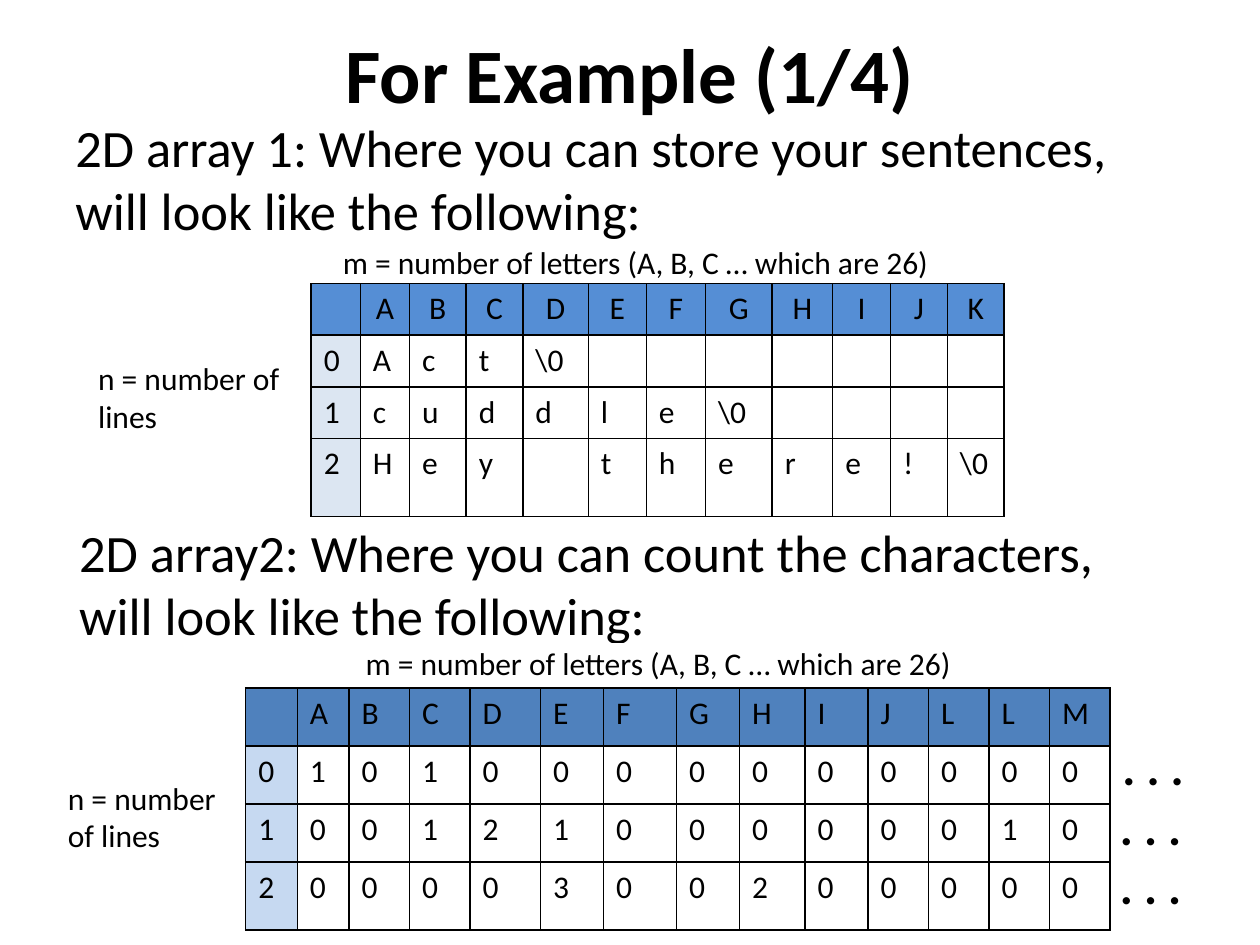
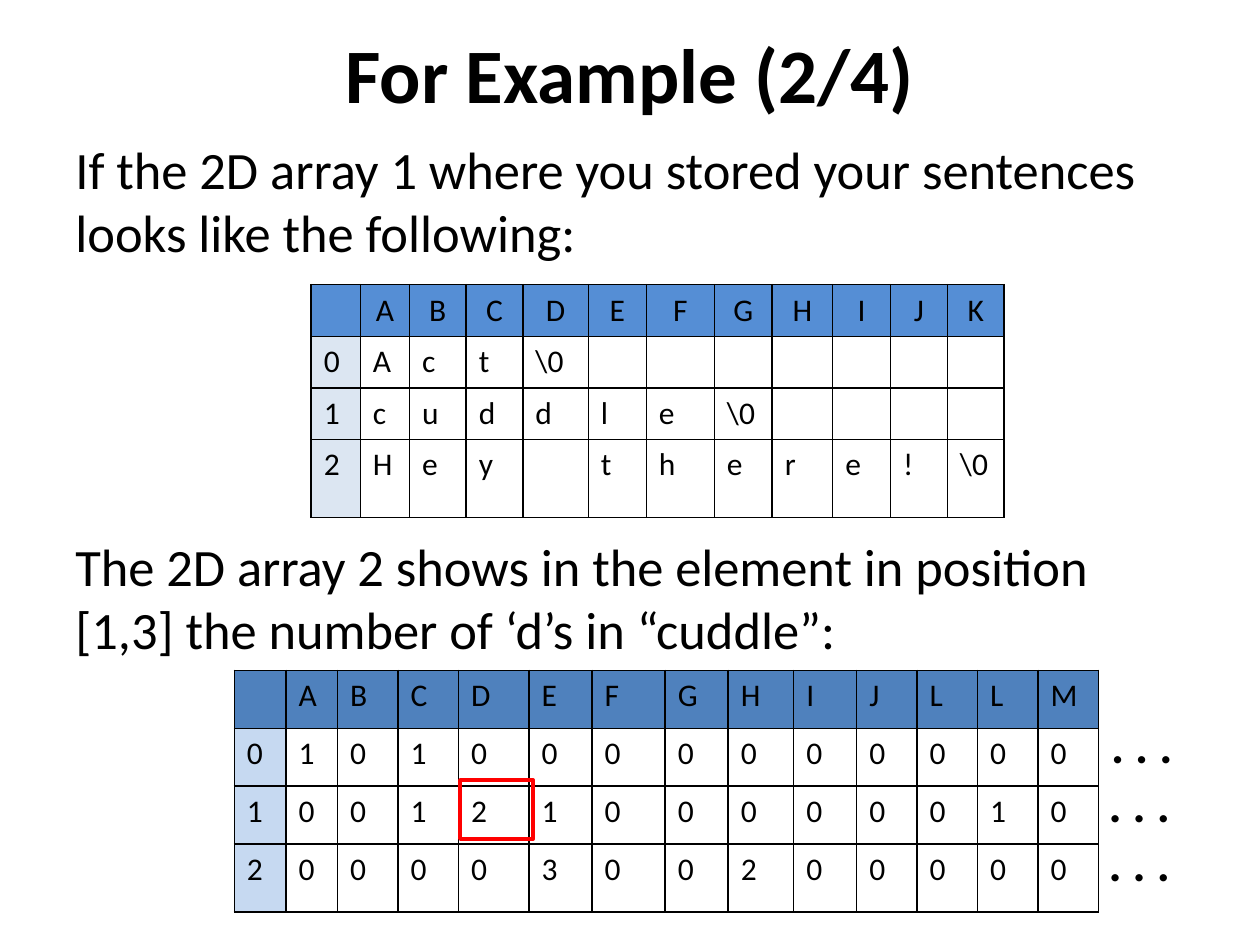
from itertools import product

from lxml import etree
from pptx import Presentation
from pptx import util as u
from pptx.dml.color import RGBColor
from pptx.enum import shapes, text
from pptx.oxml import ns

BLACK = RGBColor(0x00, 0x00, 0x00)
WHITE = RGBColor(0xFF, 0xFF, 0xFF)
RED = RGBColor(0xFF, 0x00, 0x00)
LETTERS_HEAD = RGBColor(0x55, 0x8E, 0xD5)
LETTERS_SIDE = RGBColor(0xDC, 0xE6, 0xF2)
COUNTS_HEAD = RGBColor(0x4F, 0x81, 0xBD)
COUNTS_SIDE = RGBColor(0xC6, 0xD9, 0xF1)
FONT = "Calibri"
CENTER = text.PP_ALIGN.CENTER

END = "\\0"
LETTERS = [
    ["", *"ABCDEFGHIJK"],
    ["0", *"Act", END],
    ["1", *"cuddle", END],
    ["2", *"Hey", "", *"there!", END],
]
LETTERS_ROWS = [0.41, 0.41, 0.41, 0.62]
COUNTS = [
    ["", *"ABCDEFGHIJLLM"],
    ["0", *"1010000000000"],
    ["1", *"0012100000010"],
    ["2", *"0000300200000"],
]
COUNTS_ROWS = [0.46, 0.46, 0.46, 0.54]
COUNTS_COLS = [0.41, 0.41, 0.48, 0.48, 0.56, 0.5, 0.58, 0.5, 0.52, 0.5] + [0.48] * 4

LETTER_COUNT = "m = number of letters (A, B, C … which are 26)"
LINE_COUNT = "n = number of lines"

# Positions are (left, top, width, height) in inches; a table needs only (left, top).
SLIDES = [
    {
        "title": "For Example (1/4)",
        "statements": [
            ("2D array 1: Where you can store your sentences, will look like the following:",
             (0.5, 0.86, 9, 1.11)),
            ("2D array2: Where you can count the characters, will look like the following:",
             (0.53, 4.08, 8.85, 1.19)),
        ],
        "letters_at": (2.47, 2.25),
        "letters_cols": [0.39, 0.39, 0.45, 0.45, 0.52, 0.46, 0.47, 0.53, 0.48, 0.46, 0.45, 0.45],
        "counts_at": (1.95, 5.46),
        "dots_drop": 0.34,
        "captions": [(2.47, 1.93), (2.65, 5.11)],
        "line_labels": [(0.68, 2.8, 1.75, 0.71), (0.44, 6.13, 1.48, 0.71)],
    },
    {
        "title": "For Example (2/4)",
        "statements": [
            ("If the 2D array 1 where you stored your sentences looks like the following:",
             (0.5, 1.04, 9, 1.34)),
            ("The 2D array 2 shows in the element in position [1,3] "
             "the number of ‘d’s in “cuddle”:",
             (0.5, 4.19, 9, 1.17)),
        ],
        "letters_at": (2.47, 2.26),
        "letters_cols": [0.39, 0.39, 0.45, 0.45, 0.52, 0.46, 0.54, 0.46, 0.48, 0.46, 0.45, 0.45],
        "counts_at": (1.86, 5.32),
        "dots_drop": 0.3,
        "marked": (1, 3),
    },
]


def inches(values):
    return [u.Inches(v) for v in values]


def write(tf, content, size=18, bold=False, align=None):
    p = tf.paragraphs[0]
    p.alignment = align
    r = p.add_run()
    r.text = content
    r.font.name, r.font.size, r.font.bold = FONT, u.Pt(size), bold
    r.font.color.rgb = BLACK


def add_text(s, content, box, wrap=True, **fmt):
    tf = s.shapes.add_textbox(*inches(box)).text_frame
    tf.word_wrap = wrap
    write(tf, content, **fmt)


def add_title(s, content):
    sp = s.shapes.title
    sp.left, sp.top, sp.width, sp.height = inches((0, 0.07, 10, 1.02))
    sp.text_frame.vertical_anchor = text.MSO_ANCHOR.MIDDLE
    write(sp.text_frame, content, size=44, bold=True, align=CENTER)


def set_borders(cell, color):
    tc_pr = cell._tc.get_or_add_tcPr()
    for side in ("lnL", "lnR", "lnT", "lnB"):
        ln = etree.SubElement(tc_pr, ns.qn(f"a:{side}"), w=str(u.Pt(1)))
        fill = etree.SubElement(ln, ns.qn("a:solidFill"))
        etree.SubElement(fill, ns.qn("a:srgbClr"), val=str(color))


def add_grid(s, at, cols, rows, border=BLACK):
    """Add a plain table with borders only."""
    box = inches((*at, sum(cols), sum(rows)))
    table = s.shapes.add_table(len(rows), len(cols), *box).table
    table.first_row = table.horz_banding = False
    for parts, sizes, side in ((table.columns, cols, "width"), (table.rows, rows, "height")):
        for part, size in zip(parts, sizes):
            setattr(part, side, u.Inches(size))
    for cell in table.iter_cells():
        set_borders(cell, border)
        cell.fill.background()
    return table


def add_array(s, at, cols, rows, data, head, side, head_align=None):
    """Add a grid with a coloured index row and index column."""
    table = add_grid(s, at, cols, rows)
    for row, col in product(range(len(rows)), range(len(cols))):
        cell = table.cell(row, col)
        if row == 0 or col == 0:
            cell.fill.solid()
            cell.fill.fore_color.rgb = side if row else head
        if col < len(data[row]) and data[row][col]:
            write(cell.text_frame, data[row][col], align=None if row else head_align)


def add_caption(s, at):
    cell = add_grid(s, at, [5.15], [0.31], border=WHITE).cell(0, 0)
    cell.margin_left = cell.margin_right = cell.margin_top = u.Inches(0.01)
    cell.margin_bottom = 0
    cell.vertical_anchor = text.MSO_ANCHOR.MIDDLE
    write(cell.text_frame, LETTER_COUNT, align=CENTER)


def add_dots(s, counts_at, drop):
    """Show that each row of counts goes on beyond the table."""
    right = counts_at[0] + sum(COUNTS_COLS)
    for i in range(3):
        left = right - (0.02 if i else 0)
        top = counts_at[1] + drop + 0.47 * i
        add_text(s, ". . .", (left, top, 0.69, 0.57), wrap=False, size=28, bold=True)


def mark_count(s, counts_at, row, col):
    """Frame one count, given by its array indices."""
    left = counts_at[0] + sum(COUNTS_COLS[:col + 1]) + 0.01
    top = counts_at[1] + sum(COUNTS_ROWS[:row + 1]) - 0.05
    size = COUNTS_COLS[col + 1] + 0.02, COUNTS_ROWS[row + 1] + 0.01
    sp = s.shapes.add_shape(shapes.MSO_SHAPE.RECTANGLE, *inches((left, top, *size)))
    sp.shadow.inherit = False
    sp.fill.background()
    sp.line.color.rgb, sp.line.width = RED, u.Pt(2)


def build_slide(prs, d):
    s = prs.slides.add_slide(prs.slide_layouts[5])
    add_title(s, d["title"])
    for content, box in d["statements"]:
        add_text(s, content, box, size=30)
    add_array(s, d["letters_at"], d["letters_cols"], LETTERS_ROWS, LETTERS,
              LETTERS_HEAD, LETTERS_SIDE, head_align=CENTER)
    add_array(s, d["counts_at"], COUNTS_COLS, COUNTS_ROWS, COUNTS, COUNTS_HEAD, COUNTS_SIDE)
    add_dots(s, d["counts_at"], d["dots_drop"])
    for at in d.get("captions", []):
        add_caption(s, at)
    for box in d.get("line_labels", []):
        add_text(s, LINE_COUNT, box)
    if "marked" in d:
        mark_count(s, d["counts_at"], *d["marked"])


def main():
    prs = Presentation()
    prs.slide_width, prs.slide_height = inches((10, 7.5))
    for d in SLIDES:
        build_slide(prs, d)
    prs.save("out.pptx")


if __name__ == "__main__":
    main()
